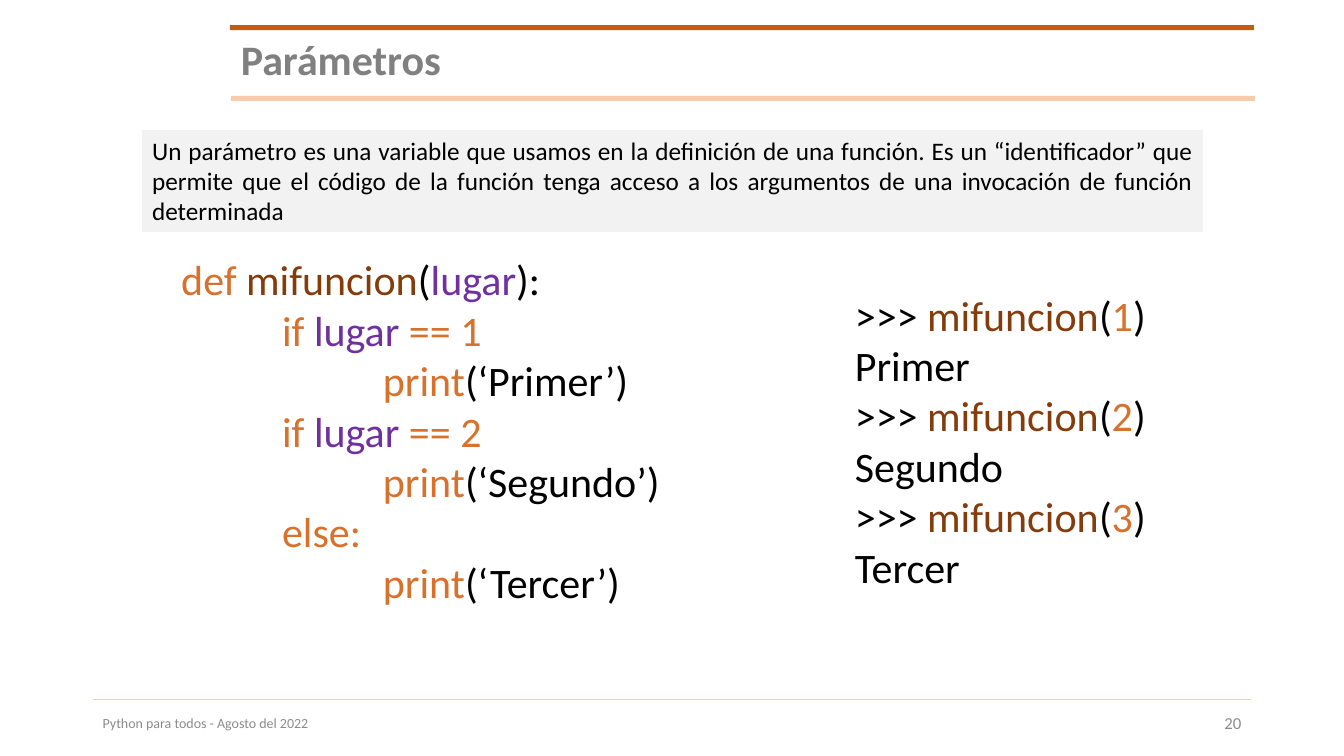
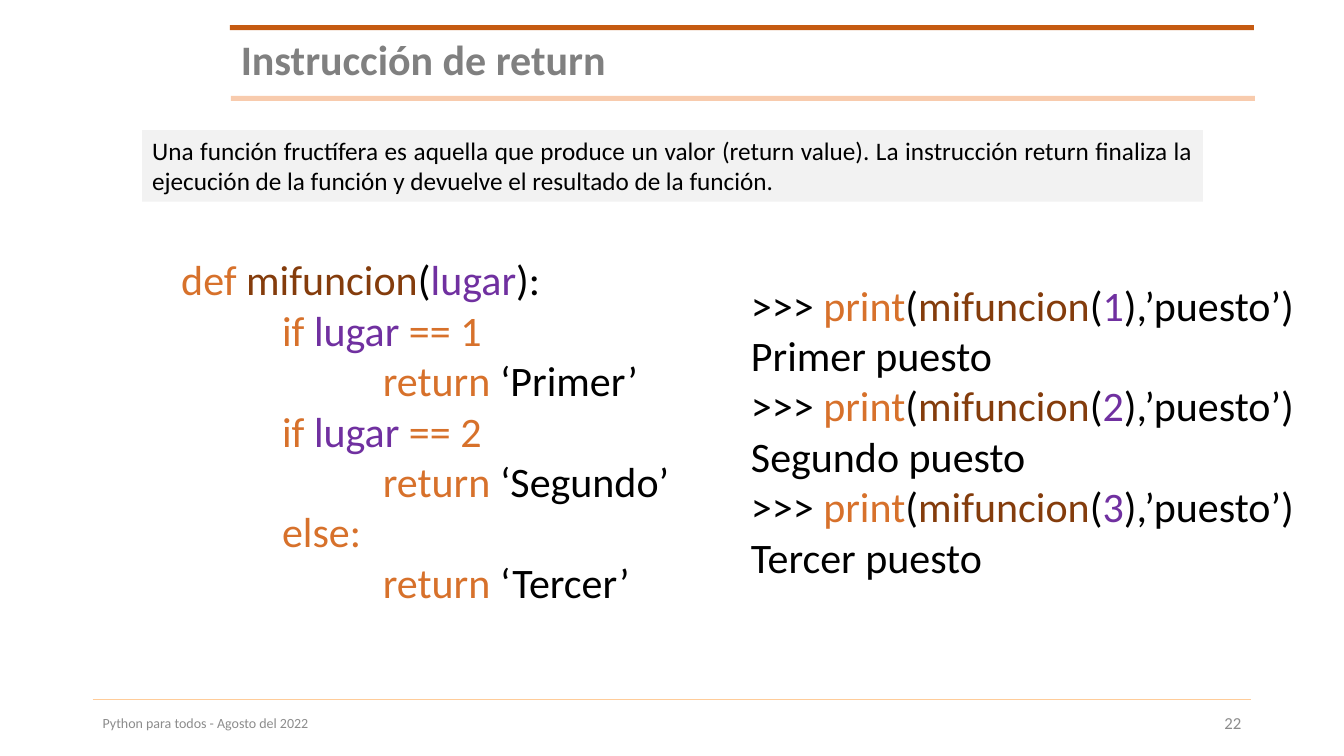
from pptx import Presentation
from pptx.dml.color import RGBColor
from pptx.enum.shapes import MSO_CONNECTOR, MSO_SHAPE
from pptx.enum.text import MSO_ANCHOR, PP_ALIGN
from pptx.util import Inches, Pt
from lxml import etree

RECT, LINE = MSO_SHAPE.RECTANGLE, MSO_CONNECTOR.STRAIGHT
TOP, MID = MSO_ANCHOR.TOP, MSO_ANCHOR.MIDDLE
LEFT, RIGHT, FULL = PP_ALIGN.LEFT, PP_ALIGN.RIGHT, PP_ALIGN.JUSTIFY
DRAW = "{http://schemas.openxmlformats.org/drawingml/2006/main}"

WIDE, HIGH = 13.33, 7.5
COL, ROW = WIDE / 100, HIGH / 75

COLOR = {
    "band": "C55A11", "pale": "F8CBAD", "rule": "FFCC99", "panel": "F2F2F2",
    "title": "808080", "foot": "8C8C8C",
    "text": "000000", "key": "D7712B", "func": "843C0C", "arg": "7030A0",
}
STYLE = {
    "title": {"size": Pt(30), "bold": True, "name": "Calibri"},
    "foot": {"size": Pt(10), "name": "Calibri"},
    "page": {"size": Pt(12), "name": "Calibri"},
    "note": {"size": Pt(18), "name": "Calibri"},
    "code": {"size": Pt(30), "name": "Calibri"},
}
HEAD = (17.1, 2.5, 76.2, 7.5)
FOOT = (6.9, 69.4, 86.2, 4.3)
CODE = (12.75, 24.7, 42.4, 41.4)


def rgb(name):
    return RGBColor.from_string(COLOR[name])


def place(x, y, w, h):
    return [Inches(n) for n in (x * COL, y * ROW, w * COL, h * ROW)]


def block(slide, box, fill):
    shape = slide.shapes.add_shape(RECT, *place(*box))
    shape.shadow.inherit = False
    shape.fill.solid()
    shape.fill.fore_color.rgb = rgb(fill)
    shape.line.fill.background()
    return shape


def write(shape, lines, style, anchor=TOP, **form):
    frame = shape.text_frame
    frame.word_wrap = True
    frame.vertical_anchor = anchor
    for i, (depth, runs) in enumerate(lines):
        para = frame.add_paragraph() if i else frame.paragraphs[0]
        for key, val in form.items():
            setattr(para, key, val)
        if depth:
            para._p.get_or_add_pPr().set("marL", str(Inches(depth)))
        for text, color in runs:
            run = para.add_run()
            run.text = text
            run.font.color.rgb = rgb(color)
            for key, val in STYLE[style].items():
                setattr(run.font, key, val)


def label(slide, box, lines, style, anchor=TOP, **form):
    shape = slide.shapes.add_textbox(*place(*box))
    write(shape, lines, style, anchor, **form)


def head(slide, box, title):
    x, y, w, h = box
    for dx, dy, fill in ((0, 0, "band"), (0.08, h - 0.5, "pale")):
        block(slide, (x + dx, y + dy, w, 0.5), fill)
    label(slide, (x + 0.08, y + 0.8, w, h - 1.8), [(0, [(title, "title")])],
          "title", MID, line_spacing=0.9)


def foot(slide, box, page):
    x, y, w, h = box
    left, top, wide, _ = place(*box)
    rule = slide.shapes.add_connector(LINE, left, top, left + wide, top)
    rule.line.color.rgb = rgb("rule")
    rule.line.width = Pt(0.5)
    etree.SubElement(rule._element.spPr, DRAW + "effectLst")
    cells = (
        (0, 0.74, "Python para todos - Agosto del 2022", "foot", LEFT),
        (0.74, 0.26, page, "page", RIGHT),
    )
    for start, share, text, style, side in cells:
        label(slide, (x + start * w, y + 0.4, share * w, h - 0.4),
              [(0, [(text, "foot")])], style, MID, alignment=side)


def note(slide, box, text):
    write(block(slide, box, "panel"), [(0, [(text, "text")])], "note",
          alignment=FULL)


def source(verb, ends):
    lines = [(0, [("def ", "key"), ("mifuncion", "func"), ("(", "text"),
                  ("lugar", "arg"), ("):", "text")])]
    for i, end in enumerate(ends, 1):
        test = [("else:", "key")]
        if i < len(ends):
            test = [("if ", "key"), ("lugar", "arg"), (f" == {i}", "key")]
        lines += [(1, test), (2, [(verb, "key"), (end, "text")])]
    return lines


def shell(before, after, color, outs):
    lines = []
    for i, out in enumerate(outs, 1):
        call = [(">>> ", "text"), *before, ("mifuncion", "func"),
                ("(", "text"), (str(i), color), (after, "text")]
        lines += [(0, call), (0, [(out, "text")])]
    return lines


def lesson(deck, page, title, text, tall, code, box, demo):
    slide = deck.slides.add_slide(deck.slide_layouts[6])
    foot(slide, FOOT, page)
    head(slide, HEAD, title)
    note(slide, (10.58, 12.9, 78.92, tall), text)
    label(slide, CODE, code, "code")
    label(slide, box, demo, "code")


def main():
    deck = Presentation()
    deck.slide_width, deck.slide_height = Inches(WIDE), Inches(HIGH)
    words = ("Primer", "Segundo", "Tercer")
    lesson(
        deck, "20", "Parámetros",
        "Un parámetro es una variable que usamos en la definición de una "
        "función. Es un “identificador” que permite que el código de la "
        "función tenga acceso a los argumentos de una invocación de función "
        "determinada",
        10.1, source("print", [f"(‘{word}’)" for word in words]),
        (62.87, 28.2, 24.4, 36.4), shell([], ")", "key", words),
    )
    lesson(
        deck, "22", "Instrucción de return",
        "Una función fructífera es aquella que produce un valor (return "
        "value). La instrucción return finaliza la ejecución de la función y "
        "devuelve el resultado de la función.",
        7.1, source("return ", [f"‘{word}’" for word in words]),
        (55.14, 27.2, 43, 36.4),
        shell([("print", "key"), ("(", "text")], "),’puesto’)", "arg",
              [f"{word} puesto" for word in words]),
    )
    deck.save("out.pptx")


if __name__ == "__main__":
    main()
